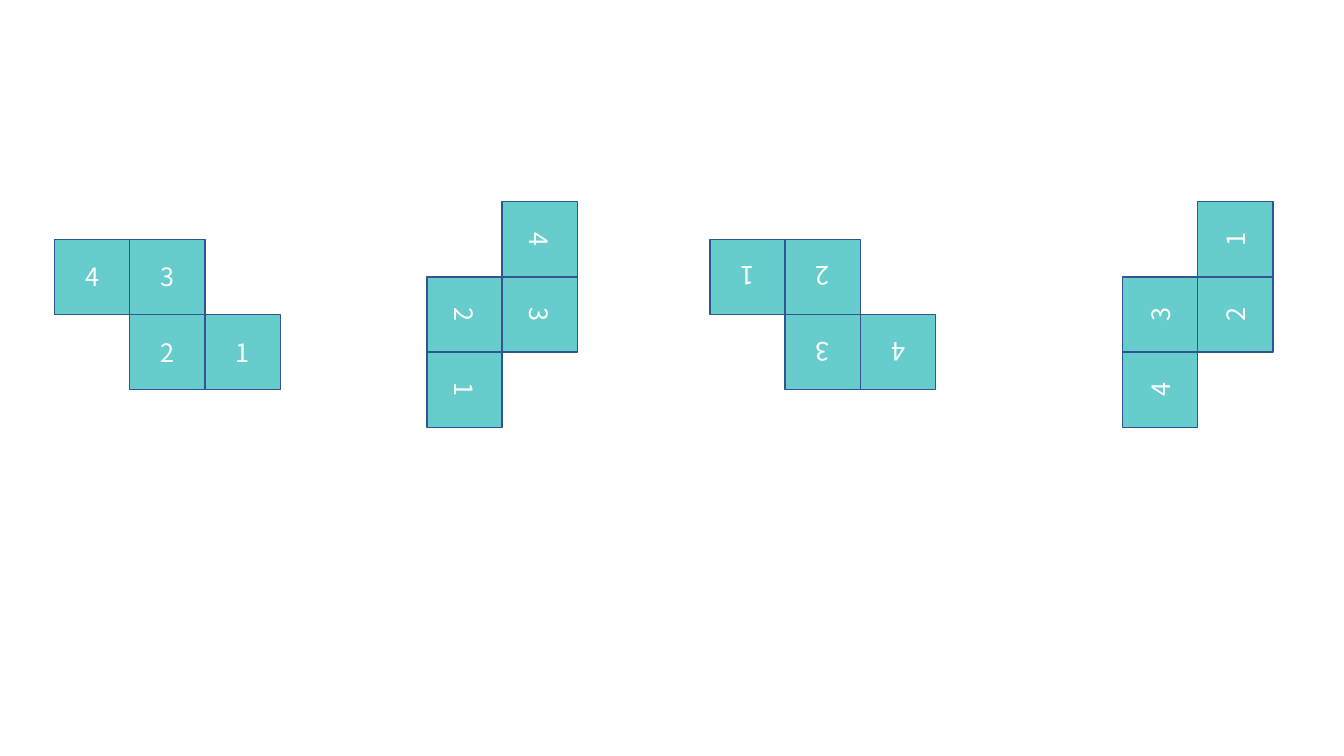
from pptx import Presentation
from pptx.dml.color import RGBColor
from pptx.enum.shapes import MSO_SHAPE
from pptx.enum.text import MSO_ANCHOR, PP_ALIGN
from pptx.util import Inches, Pt

RECTANGLE = MSO_SHAPE.RECTANGLE
MIDDLE = MSO_ANCHOR.MIDDLE
CENTER = PP_ALIGN.CENTER

# Label and centre of each cell, in cells from the centre of the unturned piece
CELLS = [("4", -1, -0.5), ("3", 0, -0.5), ("1", 1, 0.5), ("2", 0, 0.5)]

# Horizontal centre of each piece in inches; each is a quarter turn on from the last
PIECE_CENTERS = [1.66, 4.98, 8.16, 11.88]
CENTER_Y = 3.12
CELL_SIZE = 2.24 / 3

THEME = {
    "fill": RGBColor.from_string("66CCCC"),
    "line": RGBColor.from_string("325491"),
    "line_width": Pt(1),
    "font": {
        "name": "Noto Sans CJK SC",
        "size": Pt(18),
        "color": RGBColor.from_string("FFFFFF"),
    },
}


def turn(x, y, quarters):
    """Turn a point clockwise around the origin by quarter turns."""
    for _ in range(quarters):
        x, y = -y, x
    return x, y


def style_font(font, formats):
    for name, value in formats.items():
        if name == "color":
            font.color.rgb = value
        else:
            setattr(font, name, value)


def add_cell(group, label, center_x, center_y, rotation):
    left, top = center_x - CELL_SIZE / 2, center_y - CELL_SIZE / 2
    cell = group.shapes.add_shape(
        RECTANGLE, Inches(left), Inches(top), Inches(CELL_SIZE), Inches(CELL_SIZE)
    )
    cell.rotation = rotation
    cell.shadow.inherit = False
    cell.fill.solid()
    cell.fill.fore_color.rgb = THEME["fill"]
    cell.line.color.rgb = THEME["line"]
    cell.line.width = THEME["line_width"]
    cell.text_frame.vertical_anchor = MIDDLE
    para = cell.text_frame.paragraphs[0]
    para.alignment = CENTER
    span = para.add_run()
    span.text = label
    style_font(span.font, THEME["font"])


def add_piece(page, center_x, quarters):
    group = page.shapes.add_group_shape()
    for label, column, row in CELLS:
        x, y = turn(column, row, quarters)
        add_cell(
            group,
            label,
            center_x + x * CELL_SIZE,
            CENTER_Y + y * CELL_SIZE,
            quarters * 90,
        )


def main():
    deck = Presentation()
    deck.slide_width, deck.slide_height = Inches(13.33), Inches(7.5)
    page = deck.slides.add_slide(deck.slide_layouts[6])
    for quarters, center_x in enumerate(PIECE_CENTERS):
        add_piece(page, center_x, quarters)
    deck.save("out.pptx")


if __name__ == "__main__":
    main()
